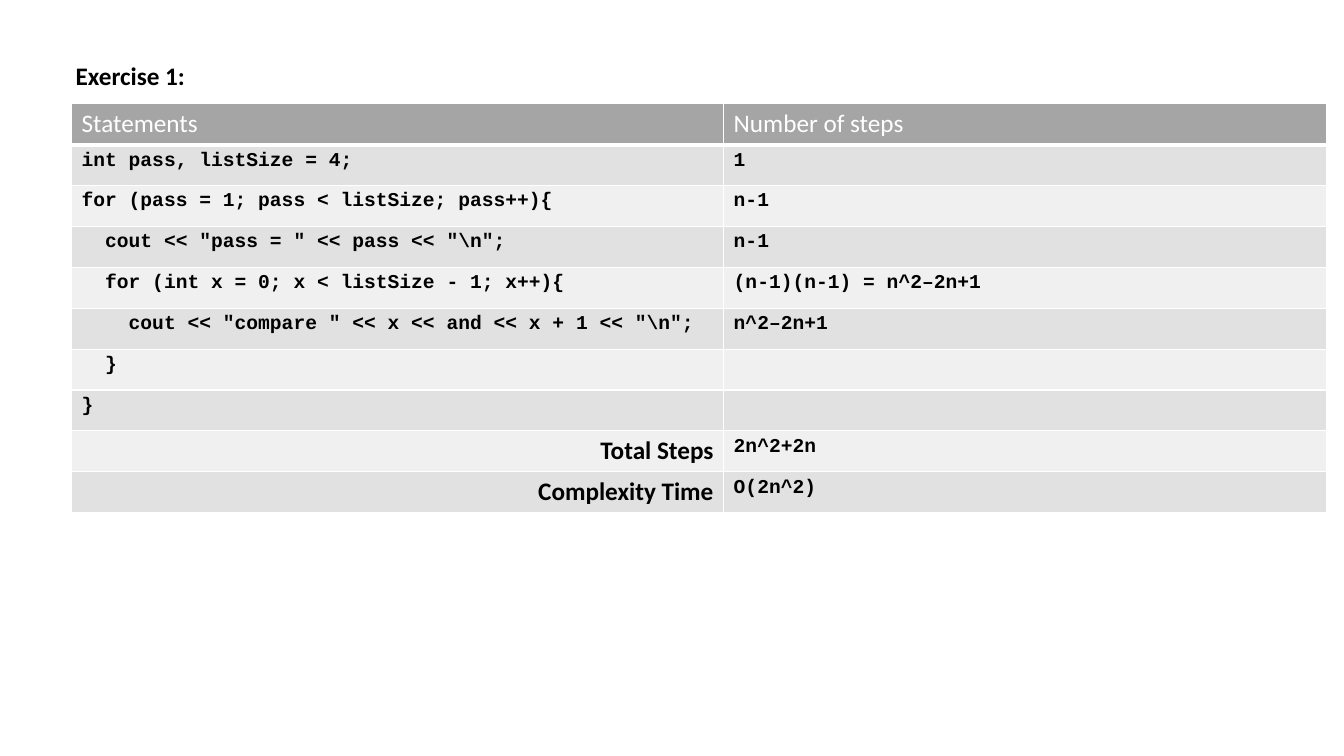
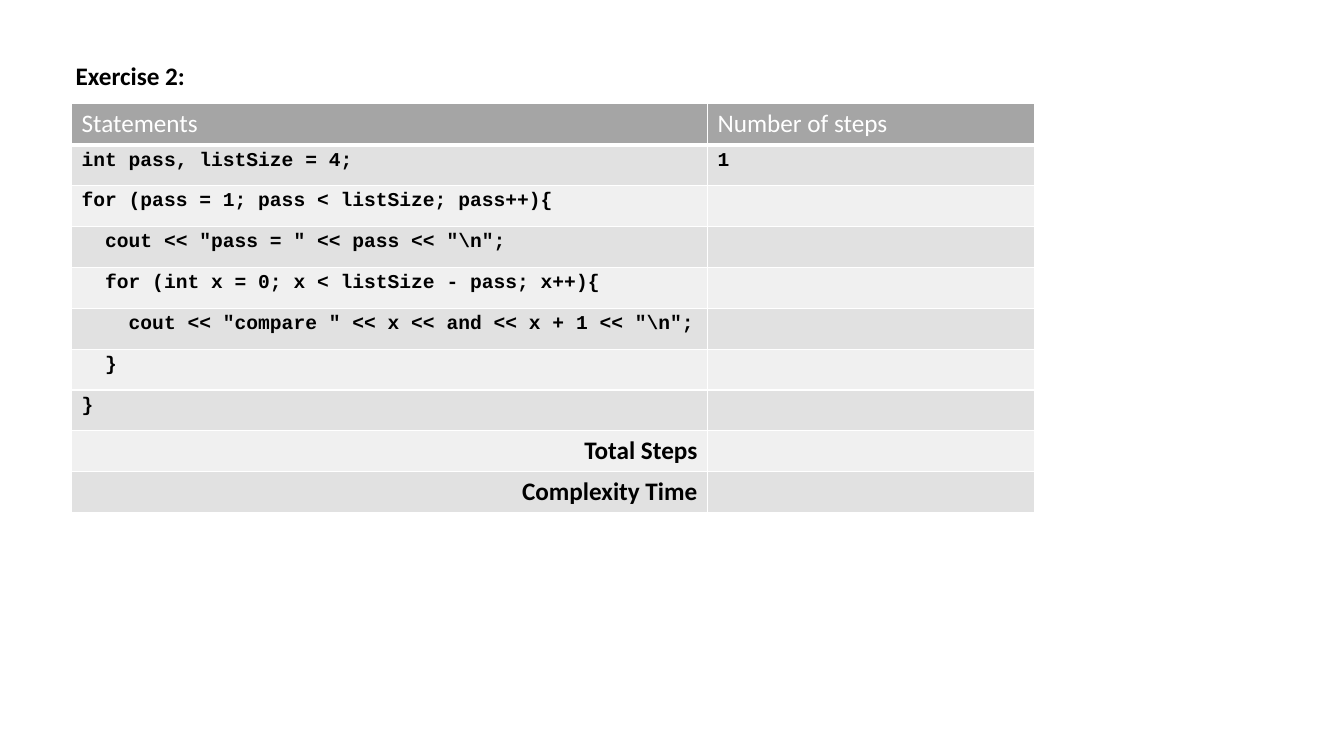
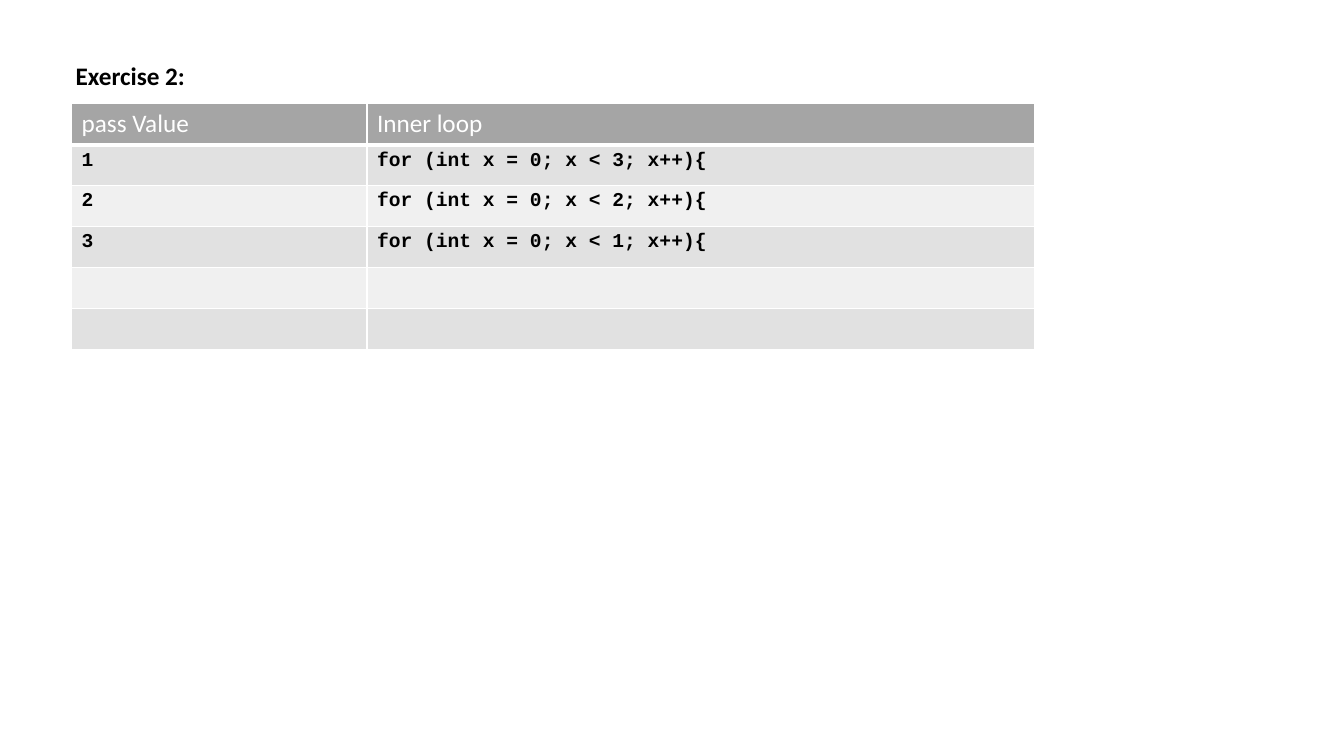
from lxml import etree
from pptx import Presentation
from pptx.dml.color import RGBColor
from pptx.enum import text
from pptx.oxml import ns
from pptx.util import Pt

WHITE, BLACK, HEADER = "FFFFFF", "000000", "A5A5A5"
BANDS = ("E1E1E1", "F0F0F0")
BODY_FONT, CODE_FONT = "Calibri", "Courier New"
TABLE_LEFT, TABLE_TOP, ROW_HEIGHT = 51.1, 74.2, 29.2
SUMMARY_LABELS = ("Total Steps", "Complexity Time")


def colour(value):
    return RGBColor.from_string(value)


def add_span(para, words, size, font, ink, bold):
    span = para.add_run()
    span.text = words
    span.font.size = Pt(size)
    span.font.name = font
    span.font.bold = bold
    span.font.color.rgb = colour(ink)


def add_page(deck, heading):
    page = deck.slides.add_slide(deck.slide_layouts[5])
    box = page.shapes.title
    box.left, box.top, box.width, box.height = Pt(46.8), Pt(39.6), Pt(93.6), Pt(28.8)
    frame = box.text_frame
    frame.word_wrap = False
    frame.auto_size = text.MSO_AUTO_SIZE.SHAPE_TO_FIT_TEXT
    frame.vertical_anchor = text.MSO_ANCHOR.TOP
    para = frame.paragraphs[0]
    para.alignment = text.PP_ALIGN.LEFT
    add_span(para, heading, 18, BODY_FONT, BLACK, True)
    return page


def add_borders(cell, bottom):
    """Draw white cell edges, 1 pt wide except for the bottom one."""
    properties = cell._tc.get_or_add_tcPr()
    for side, width in (("L", 1), ("R", 1), ("T", 1), ("B", bottom)):
        line = etree.SubElement(properties, ns.qn(f"a:ln{side}"), w=str(Pt(width)))
        fill = etree.SubElement(line, ns.qn("a:solidFill"))
        etree.SubElement(fill, ns.qn("a:srgbClr"), val=WHITE)


def format_cell(cell, words, row):
    is_header = row == 0
    add_borders(cell, 3 if is_header else 1)
    cell.fill.solid()
    cell.fill.fore_color.rgb = colour(HEADER if is_header else BANDS[(row - 1) % 2])
    if not words:
        return
    para = cell.text_frame.paragraphs[0]
    if is_header:
        add_span(para, words, 18, BODY_FONT, WHITE, False)
    elif words in SUMMARY_LABELS:
        para.alignment = text.PP_ALIGN.RIGHT
        add_span(para, words, 18, BODY_FONT, BLACK, True)
    else:
        add_span(para, words, 14, CODE_FONT, BLACK, True)


def add_grid(page, widths, rows):
    frame = page.shapes.add_table(
        len(rows), len(widths), Pt(TABLE_LEFT), Pt(TABLE_TOP),
        Pt(sum(widths)), Pt(ROW_HEIGHT * len(rows)))
    table = frame.table
    for column, width in zip(table.columns, widths):
        column.width = Pt(width)
    for index, values in enumerate(rows):
        table.rows[index].height = Pt(ROW_HEIGHT)
        for column, words in enumerate(values):
            format_cell(table.cell(index, column), words, index)


def step_rows(inner_limit, steps):
    """Pair each statement of the nested loops with its step count."""
    statements = (
        "int pass, listSize = 4;",
        "for (pass = 1; pass < listSize; pass++){",
        '  cout << "pass = " << pass << "\\n";',
        f"  for (int x = 0; x < listSize - {inner_limit}; x++){{",
        '    cout << "compare " << x << and << x + 1 << "\\n";',
        "  }",
        "}",
    ) + SUMMARY_LABELS
    return [("Statements", "Number of steps"), *zip(statements, steps)]


def main():
    deck = Presentation()
    deck.slide_width, deck.slide_height = Pt(960), Pt(540)

    first_steps = ("1", "n-1", "n-1", "(n-1)(n-1) = n^2–2n+1", "n^2–2n+1",
                   "", "", "2n^2+2n", "O(2n^2)")
    add_grid(add_page(deck, "Exercise 1:"), (465.8, 430.6), step_rows("1", first_steps))

    second_steps = ["1"] + [""] * 8
    add_grid(add_page(deck, "Exercise 2:"), (454.3, 233.3), step_rows("pass", second_steps))

    passes = [(str(number), f"for (int x = 0; x < {4 - number}; x++){{")
              for number in (1, 2, 3)]
    add_grid(add_page(deck, "Exercise 2:"), (211, 476.6),
             [("pass Value", "Inner loop"), *passes, ("", ""), ("", "")])

    deck.save("out.pptx")


if __name__ == "__main__":
    main()
